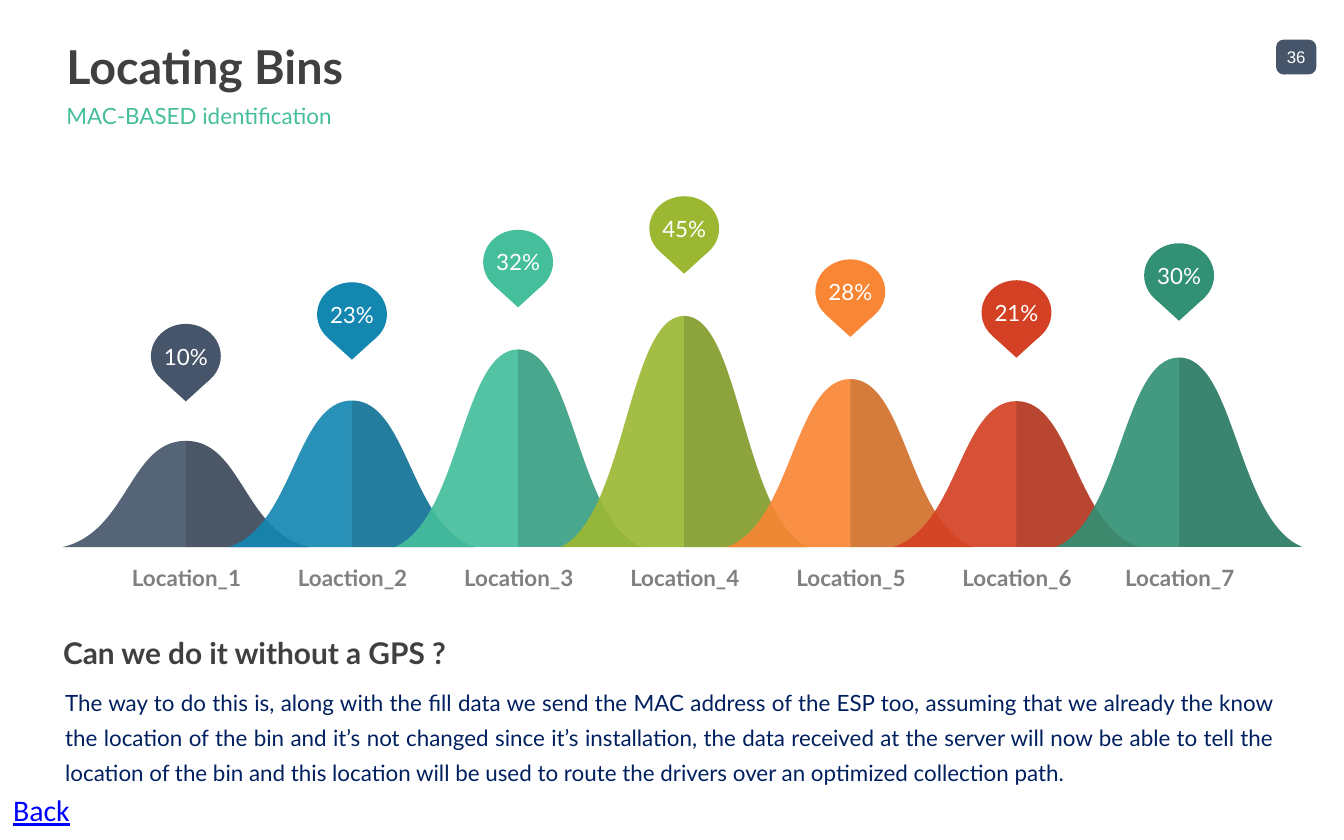
from dataclasses import dataclass
from lxml.etree import Element, SubElement
from pptx import Presentation
from pptx.dml.color import RGBColor as Rgb
from pptx.enum.shapes import MSO_SHAPE as Kind
from pptx.enum.text import MSO_ANCHOR as Anchor, PP_ALIGN as Align
from pptx.oxml.ns import qn
from pptx.util import Inches, Pt


@dataclass(frozen=True)
class Theme:
    font: str = "Lato"
    dark: str = "404040"
    gray: str = "808080"
    navy: str = "002060"
    mint: str = "44BE9B"
    slate: str = "46556A"
    white: str = "FFFFFF"
    shade: str = "0D0D0D"
    link: str = "0000FF"
    title: int = 25
    head: int = 16
    text: int = 12
    small: int = 9


T = Theme()
COLS, ROWS = 100, 62.5
CELL = Inches(0.1)
BASE = 40.7
HALF = 9.17
FIRST, STEP, LAST = 13.83, 12.36, 87.73

BINS = [
    ("Location_1", "10%", T.slate, 32.8, 24.1),
    ("Loaction_2", "23%", "1487B1", 29.8, 21),
    ("Location_3", "32%", T.mint, 26, 17.1),
    ("Location_4", "45%", "9CB833", 23.5, 14.6),
    ("Location_5", "28%", "F98634", 28.2, 19.3),
    ("Location_6", "21%", "D44024", 29.85, 20.85),
    ("Location_7", "30%", "329075", 26.6, 18.1),
]
STORY = (
    "The way to do this is, along with the fill data we send the MAC address "
    "of the ESP too, assuming that we already the know the location of the bin "
    "and it’s not changed since it’s installation, the data received at the "
    "server will now be able to tell the location of the bin and this location "
    "will be used to route the drivers over an optimized collection path."
)


def grid(*cells):
    return [round(cell * CELL) for cell in cells]


def paint(shape, color, alpha=100):
    shape.shadow.inherit = False
    shape.line.fill.background()
    shape.fill.solid()
    shape.fill.fore_color.rgb = Rgb.from_string(color)
    if alpha < 100:
        node = shape._element.spPr.find(".//" + qn("a:srgbClr"))
        SubElement(node, qn("a:alpha")).set("val", str(alpha * 1000))


def write(shape, text, size, color, font=T.font, bold=False, line=False,
          align=Align.LEFT, anchor=Anchor.MIDDLE, space=None, wrap=True,
          pad=(0, 0)):
    frame = shape.text_frame
    frame.text = text
    frame.word_wrap = wrap
    frame.vertical_anchor = anchor
    side, edge = grid(*pad)
    frame.margin_left = frame.margin_right = side
    frame.margin_top = frame.margin_bottom = edge
    para = frame.paragraphs[0]
    para.alignment = align
    para.line_spacing = space
    face = para.runs[0].font
    face.name, face.size, face.bold = font, Pt(size), bold
    face.underline = line
    face.color.rgb = Rgb.from_string(color)


def label(slide, box, text, size, color, **style):
    write(slide.shapes.add_textbox(*grid(*box)), text, size, color, **style)


def bend(lines):
    curve = Element(qn("a:cubicBezTo"))
    lines[0].addprevious(curve)
    for line in lines:
        curve.append(line[0])
        line.getparent().remove(line)


def outline(slide, start, parts, color, alpha=100):
    pen = slide.shapes.build_freeform(*grid(*start), scale=1.0)
    pen.add_line_segments([grid(*point) for part in parts for point in part])
    shape = pen.convert_to_shape()
    lines = iter(shape._element.spPr.findall(".//" + qn("a:lnTo")))
    for part in parts:
        group = [next(lines) for _ in part]
        if len(part) == 3:
            bend(group)
    paint(shape, color, alpha)


def wave(slide, mid, top, color):
    knee = BASE - 0.14 * (BASE - top)
    peak, foot = (mid, top), (mid, BASE)
    left, right = (mid - HALF, BASE), (mid + HALF, BASE)
    fall = [(mid - 4.18, top), (mid - 4.32, knee), left]
    rise = [(mid + 4.32, knee), (mid + 4.18, top), peak]
    outline(slide, peak, [fall, [right], rise], color, 91)
    outline(slide, right, [rise, [foot], [right]], T.shade, 15)


def pin(slide, mid, top, color, text):
    disc = slide.shapes.add_shape(Kind.OVAL, *grid(mid - 2.6, top, 5.2, 4.8))
    paint(disc, color)
    write(disc, text, T.text, T.white, align=Align.CENTER)
    neck = top + 4.1
    left, right = (mid - 1.83, neck), (mid + 1.83, neck)
    outline(slide, right, [[(mid, neck + 1.67)], [left], [right]], color)


def badge(slide, text):
    tile = slide.shapes.add_shape(Kind.ROUNDED_RECTANGLE,
                                  *grid(94.95, 2.95, 3, 2.6))
    tile.adjustments[0] = 0.22
    paint(tile, T.slate)
    write(tile, text, T.small, T.white, font="Arial", align=Align.CENTER,
          wrap=False)


def main():
    deck = Presentation()
    deck.slide_width, deck.slide_height = grid(COLS, ROWS)
    slide = deck.slides.add_slide(deck.slide_layouts[6])

    badge(slide, "36")
    label(slide, (4.95, 2.95, 90, 3.9), "Locating Bins", T.title, T.dark,
          bold=True)
    label(slide, (4.95, 7.55, 90, 2.1), "MAC-BASED identification", T.text,
          T.mint)

    mids = [min(FIRST + i * STEP, LAST) for i in range(len(BINS))]
    for mid, (_, _, color, peak, _) in zip(mids, BINS):
        wave(slide, mid, peak, color)
    for mid, (name, share, color, _, top) in zip(mids, BINS):
        pin(slide, mid, top, color, share)
        label(slide, (mid - 4.7, 41.4, 9.5, 2.7), name, T.text, T.gray,
              bold=True, align=Align.CENTER, anchor=Anchor.TOP, space=1.3)

    label(slide, (4.7, 46.6, 90.2, 3.9), "Can we do it without a GPS ?",
          T.head, T.dark, bold=True)
    label(slide, (4.85, 50.7, 90, 7.1), STORY, T.text, T.navy,
          align=Align.JUSTIFY, anchor=Anchor.TOP, space=1.3)
    label(slide, (0, 58.4, 6.3, 6.4), "Back", T.head, T.link, font="Calibri",
          line=True, anchor=Anchor.TOP, wrap=False, pad=(1, 0.5))
    deck.save("out.pptx")


if __name__ == "__main__":
    main()
